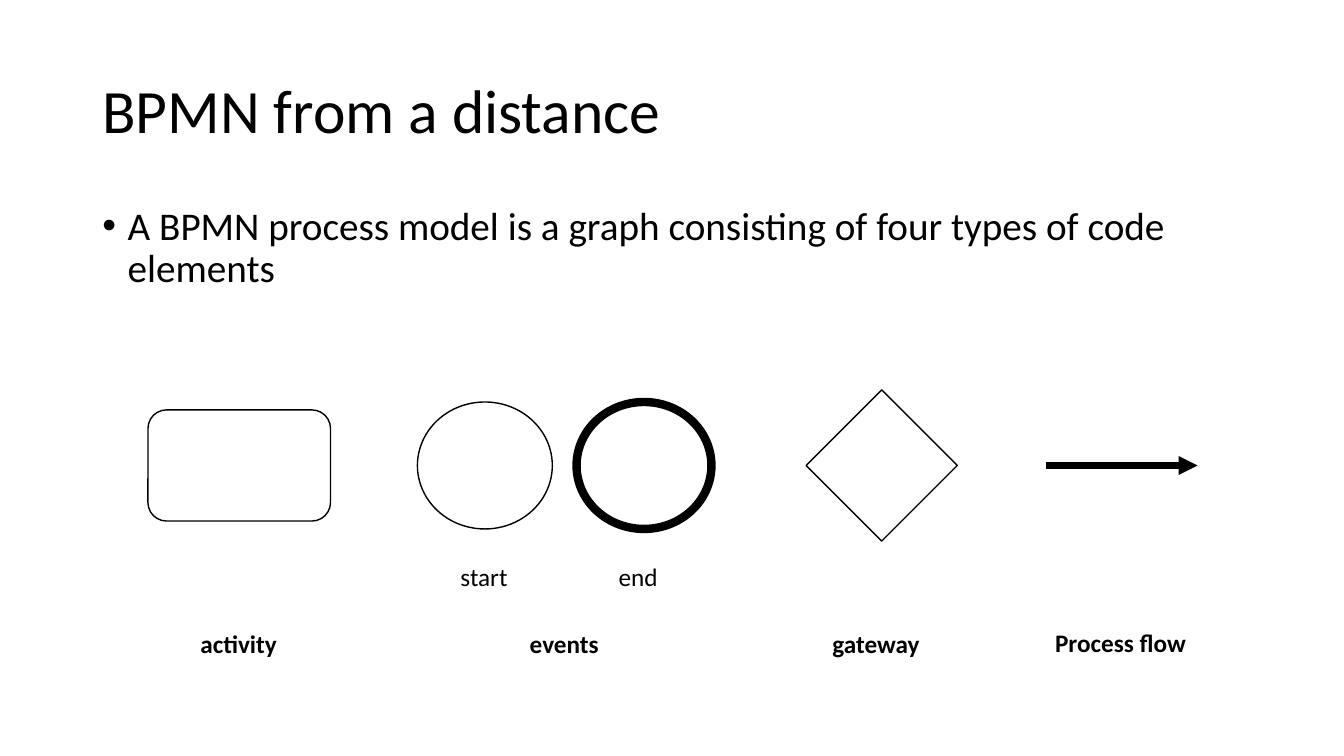
from collections import namedtuple
from dataclasses import dataclass

from lxml import etree
from pptx import Presentation
from pptx import util as u
from pptx.dml.color import RGBColor
from pptx.enum import shapes, text
from pptx.oxml import ns

Box = namedtuple("Box", "left top width height")


@dataclass(frozen=True)
class Theme:
    font: str = "Calibri"
    ink: RGBColor = RGBColor(0, 0, 0)
    paper: RGBColor = RGBColor(255, 255, 255)
    title_size: int = 44
    body_size: int = 28
    label_size: int = 18
    thin: float = 1
    arrow: float = 4.5
    thick: float = 6


THEME = Theme()


def to_lengths(box):
    return [u.Cm(value) for value in box]


def centred(middle_x, middle_y, width, height):
    return Box(middle_x - width / 2, middle_y - height / 2, width, height)


def add_bullet(paragraph, indent):
    properties = paragraph._p.get_or_add_pPr()
    properties.set("marL", str(u.Cm(indent)))
    properties.set("indent", str(-u.Cm(indent)))
    font = etree.SubElement(properties, ns.qn("a:buFont"))
    font.set("typeface", "Arial")
    bullet = etree.SubElement(properties, ns.qn("a:buChar"))
    bullet.set("char", "•")


def add_text(slide, box, words, size, bold=False, wrap=True, bullet=False,
             spacing=None, anchor=text.MSO_ANCHOR.TOP):
    shape = slide.shapes.add_textbox(*to_lengths(box))
    frame = shape.text_frame
    frame.word_wrap = wrap
    frame.vertical_anchor = anchor
    paragraph = frame.paragraphs[0]
    if spacing:
        paragraph.line_spacing = spacing
    if bullet:
        add_bullet(paragraph, 0.64)
    run = paragraph.add_run()
    run.text = words
    run.font.name = THEME.font
    run.font.size = u.Pt(size)
    run.font.bold = bold
    run.font.color.rgb = THEME.ink


def add_symbol(slide, kind, box, weight=THEME.thin):
    shape = slide.shapes.add_shape(kind, *to_lengths(box))
    shape.shadow.inherit = False
    shape.fill.solid()
    shape.fill.fore_color.rgb = THEME.paper
    shape.line.color.rgb = THEME.ink
    shape.line.width = u.Pt(weight)


def add_arrow(slide, left, right, middle_y):
    connector = slide.shapes.add_connector(
        shapes.MSO_CONNECTOR.STRAIGHT,
        u.Cm(left), u.Cm(middle_y), u.Cm(right), u.Cm(middle_y))
    connector.line.color.rgb = THEME.ink
    connector.line.width = u.Pt(THEME.arrow)
    head = etree.SubElement(connector.line._get_or_add_ln(), ns.qn("a:tailEnd"))
    head.set("type", "triangle")
    etree.SubElement(connector._element.spPr, ns.qn("a:effectLst"))


def add_heading(slide, box):
    add_text(slide, box, "BPMN from a distance", THEME.title_size,
             spacing=0.9, anchor=text.MSO_ANCHOR.MIDDLE)


def add_statement(slide, box):
    add_text(slide, box,
             "A BPMN process model is a graph consisting of four types of code elements",
             THEME.body_size, bullet=True, spacing=0.9)


def add_symbols(slide, box):
    middle_y = box.top + 1.9
    preset = shapes.MSO_SHAPE
    symbols = [
        (preset.ROUNDED_RECTANGLE, 2.3, 4.6, 2.8, THEME.thin),
        (preset.OVAL, 8.49, 3.4, 3.2, THEME.thin),
        (preset.OVAL, 12.5, 3.4, 3.2, THEME.thick),
        (preset.FLOWCHART_DECISION, 18.49, 3.81, 3.81, THEME.thin),
    ]
    for kind, x, width, height, weight in symbols:
        add_symbol(slide, kind, centred(box.left + x, middle_y, width, height), weight)
    right = box.left + box.width
    add_arrow(slide, right - 3.81, right, middle_y)


def add_labels(slide, box):
    event_y, type_y = box.top + 4.7, box.top + 6.4
    labels = [
        ("activity", 2.3, type_y, 2.46, True),
        ("events", 10.5, type_y, 2.26, True),
        ("gateway", 18.36, type_y, 2.72, True),
        ("Process flow", 24.53, type_y - 0.03, 3.84, True),
        ("start", 8.5, event_y, 1.75, False),
        ("end", 12.36, event_y, 1.5, False),
    ]
    for words, x, y, width, bold in labels:
        add_text(slide, centred(box.left + x, y, width, 1.02), words,
                 THEME.label_size, bold=bold, wrap=False)


def main():
    presentation = Presentation()
    presentation.slide_width = u.Cm(33.87)
    presentation.slide_height = u.Cm(19.05)
    slide = presentation.slides.add_slide(presentation.slide_layouts[6])
    add_heading(slide, Box(2.33, 1.01, 29.21, 3.68))
    add_statement(slide, Box(2.33, 5.07, 29.21, 12.09))
    legend = Box(3.73, 9.83, 26.45, 7)
    add_symbols(slide, legend)
    add_labels(slide, legend)
    presentation.save("out.pptx")


if __name__ == "__main__":
    main()
